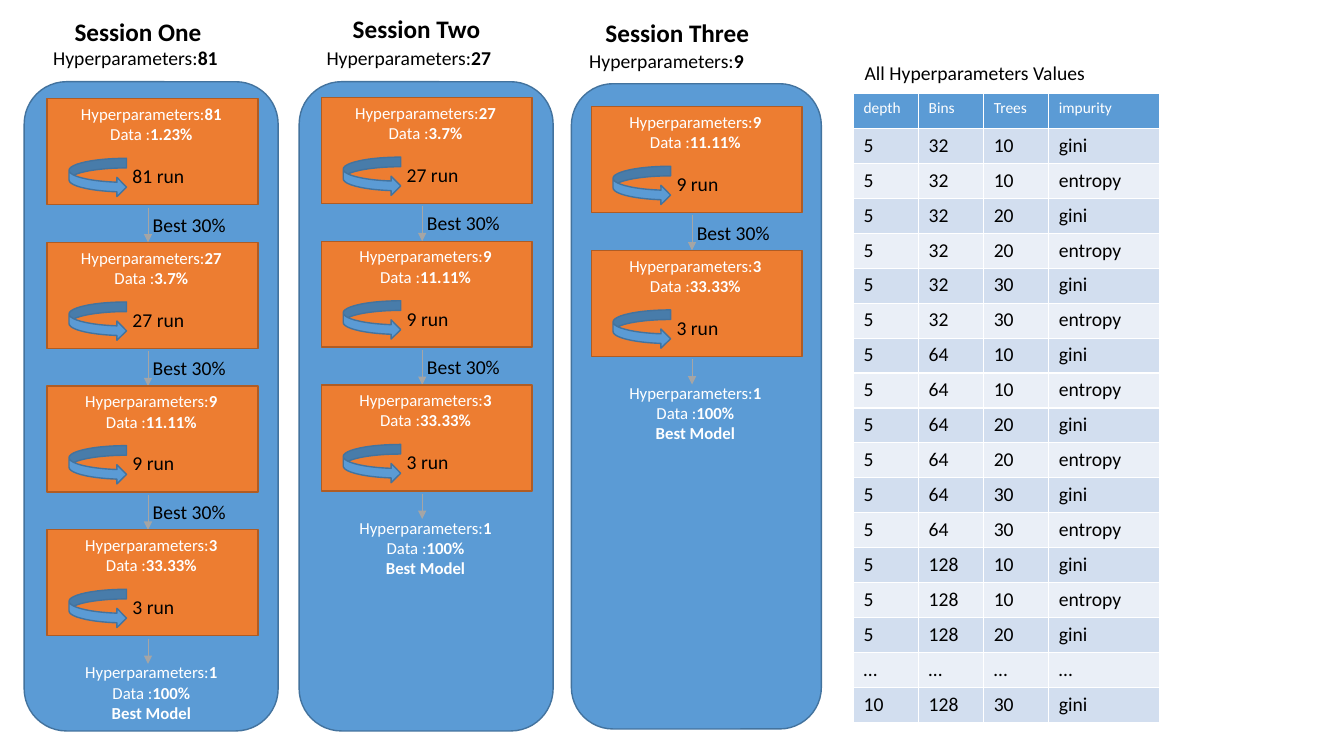
import dataclasses
import itertools

import pptx
import pptx.dml.color
import pptx.enum.shapes
import pptx.enum.text
import pptx.util
from lxml import etree
from pptx.oxml.ns import qn

Cm = pptx.util.Cm
Pt = pptx.util.Pt
Shapes = pptx.enum.shapes.MSO_SHAPE
Align = pptx.enum.text.PP_ALIGN


@dataclasses.dataclass(frozen=True)
class Theme:
    font: str = "Calibri"
    blue: str = "5B9BD5"
    blue_edge: str = "43739E"
    orange: str = "ED7D31"
    orange_edge: str = "AF5C24"
    arrow: str = "A5A5A5"
    dark: str = "000000"
    light: str = "FFFFFF"
    bands: tuple = ("D2DEEF", "EAEFF7")
    title: int = 18
    body: int = 14
    detail: int = 12
    header: int = 11


def rgb(value):
    return pptx.dml.color.RGBColor.from_string(value)


class Board:
    def __init__(self, slide, theme):
        self.slide = slide
        self.theme = theme

    def style(self, paragraph, size, color, align=Align.LEFT):
        paragraph.alignment = align
        paragraph.font.name = self.theme.font
        paragraph.font.size = Pt(size)
        paragraph.font.color.rgb = rgb(color)

    def shape(self, kind, left, top, width, height, fill, edge):
        shape = self.slide.shapes.add_shape(kind, Cm(left), Cm(top), Cm(width), Cm(height))
        shape.shadow.inherit = False
        shape.fill.solid()
        shape.fill.fore_color.rgb = rgb(fill)
        shape.line.color.rgb = rgb(edge)
        shape.line.width = Pt(1)

    def text(self, left, top, width, height, lines, size, color, align=Align.LEFT):
        box = self.slide.shapes.add_textbox(Cm(left), Cm(top), Cm(width), Cm(height))
        frame = box.text_frame
        frame.word_wrap = True
        for index, (plain, strong) in enumerate(lines):
            paragraph = frame.paragraphs[0] if index == 0 else frame.add_paragraph()
            self.style(paragraph, size, color, align)
            for words, bold in ((plain, False), (strong, True)):
                if words:
                    run = paragraph.add_run()
                    run.text = words
                    run.font.bold = bold

    def arrow(self, x, top, bottom):
        line = self.slide.shapes.add_connector(
            pptx.enum.shapes.MSO_CONNECTOR.STRAIGHT, Cm(x), Cm(top), Cm(x), Cm(bottom))
        line.line.color.rgb = rgb(self.theme.arrow)
        line.line.width = Pt(0.5)
        properties = line._element.spPr
        etree.SubElement(properties.find(qn("a:ln")), qn("a:tailEnd"), type="triangle")
        etree.SubElement(properties, qn("a:effectLst"))

    def table(self, left, top, widths, row_height, rows):
        table = self.slide.shapes.add_table(
            len(rows), len(widths), Cm(left), Cm(top),
            Cm(sum(widths)), Cm(row_height * len(rows))).table
        for column, width in zip(table.columns, widths):
            column.width = Cm(width)
        for number, values in enumerate(rows):
            table.rows[number].height = Cm(row_height)
            if number == 0:
                fill, size, color = self.theme.blue, self.theme.header, self.theme.light
            else:
                fill = self.theme.bands[(number - 1) % 2]
                size, color = self.theme.body, self.theme.dark
            for column, value in enumerate(values):
                cell = table.cell(number, column)
                cell.fill.solid()
                cell.fill.fore_color.rgb = rgb(fill)
                cell.text = value
                paragraph = cell.text_frame.paragraphs[0]
                self.style(paragraph, size, color)
                paragraph.font.bold = False
                paragraph.runs[0].font.bold = False


DATA_SHARE = {81: "1.23%", 27: "3.7%", 9: "11.11%", 3: "33.33%", 1: "100%"}
CARD_WIDTH, CARD_HEIGHT, CARD_PITCH = 5.31, 2.67, 3.62


@dataclasses.dataclass(frozen=True)
class Session:
    name: str
    start: int
    panel: tuple
    title: tuple
    count: tuple
    first_card: tuple


SESSIONS = (
    Session("Session One", 81, (0.61, 2.06, 6.4, 16.36), (1.63, 0.28), (1.09, 1.04), (1.19, 2.49)),
    Session("Session Two", 27, (7.54, 2.06, 6.4, 16.36), (8.64, 0.2), (7.98, 1.04), (8.1, 2.46)),
    Session("Session Three", 9, (14.4, 2.11, 6.3, 16.26), (15.01, 0.3), (14.6, 1.12), (14.9, 2.69)),
)


def summary(count):
    return [("Hyperparameters:", str(count)), ("Data :", DATA_SHARE[count])]


def draw_card(board, left, top, count):
    theme = board.theme
    board.shape(Shapes.RECTANGLE, left, top, CARD_WIDTH, CARD_HEIGHT,
                theme.orange, theme.orange_edge)
    board.text(left - 0.03, top, CARD_WIDTH, 1.27, summary(count),
               theme.detail, theme.light, Align.CENTER)
    board.shape(Shapes.CURVED_RIGHT_ARROW, left + 0.55, top + 1.5, 1.45, 0.97,
                theme.blue, theme.blue_edge)
    board.text(left + 1.9, top + 1.52, 1.96, 0.86, [(f"{count} run", "")],
               theme.body, theme.dark)


def draw_session(board, session):
    theme = board.theme
    board.shape(Shapes.ROUNDED_RECTANGLE, *session.panel, theme.blue, theme.blue_edge)
    board.text(*session.title, 4.62, 1.02, [("", session.name)], theme.title, theme.dark)
    board.text(*session.count, 5.44, 0.86, summary(session.start)[:1], theme.body, theme.dark)
    left, top = session.first_card
    counts = [count for count in DATA_SHARE if 1 < count <= session.start]
    for count in counts:
        draw_card(board, left, top, count)
        last = count == counts[-1]
        board.arrow(left + 2.54, top + 2.74, top + (3.38 if last else CARD_PITCH))
        if last:
            board.text(left - 0.03, top + 3.21, CARD_WIDTH, 1.8,
                       summary(1) + [("", "Best Model")],
                       theme.detail, theme.light, Align.CENTER)
        else:
            board.text(left + 2.41, top + 2.74, 2.57, 0.86, [("Best 30%", "")],
                       theme.body, theme.dark)
        top += CARD_PITCH


def main():
    presentation = pptx.Presentation()
    presentation.slide_width = Cm(33.87)
    presentation.slide_height = Cm(19.05)
    theme = Theme()
    board = Board(presentation.slides.add_slide(presentation.slide_layouts[6]), theme)

    for session in SESSIONS:
        draw_session(board, session)

    board.text(21.54, 1.4, 7.19, 0.86, [("All Hyperparameters Values", "")],
               theme.body, theme.dark)
    combinations = itertools.product(
        ("5",), ("32", "64", "128"), ("10", "20", "30"), ("gini", "entropy"))
    rows = [("depth", "Bins", "Trees", "impurity"),
            *itertools.islice(combinations, 15),
            ("…",) * 4,
            ("10", "128", "30", "gini")]
    board.table(21.51, 2.36, (1.64, 1.64, 1.64, 2.8), 0.88, rows)

    presentation.save("out.pptx")


if __name__ == "__main__":
    main()
